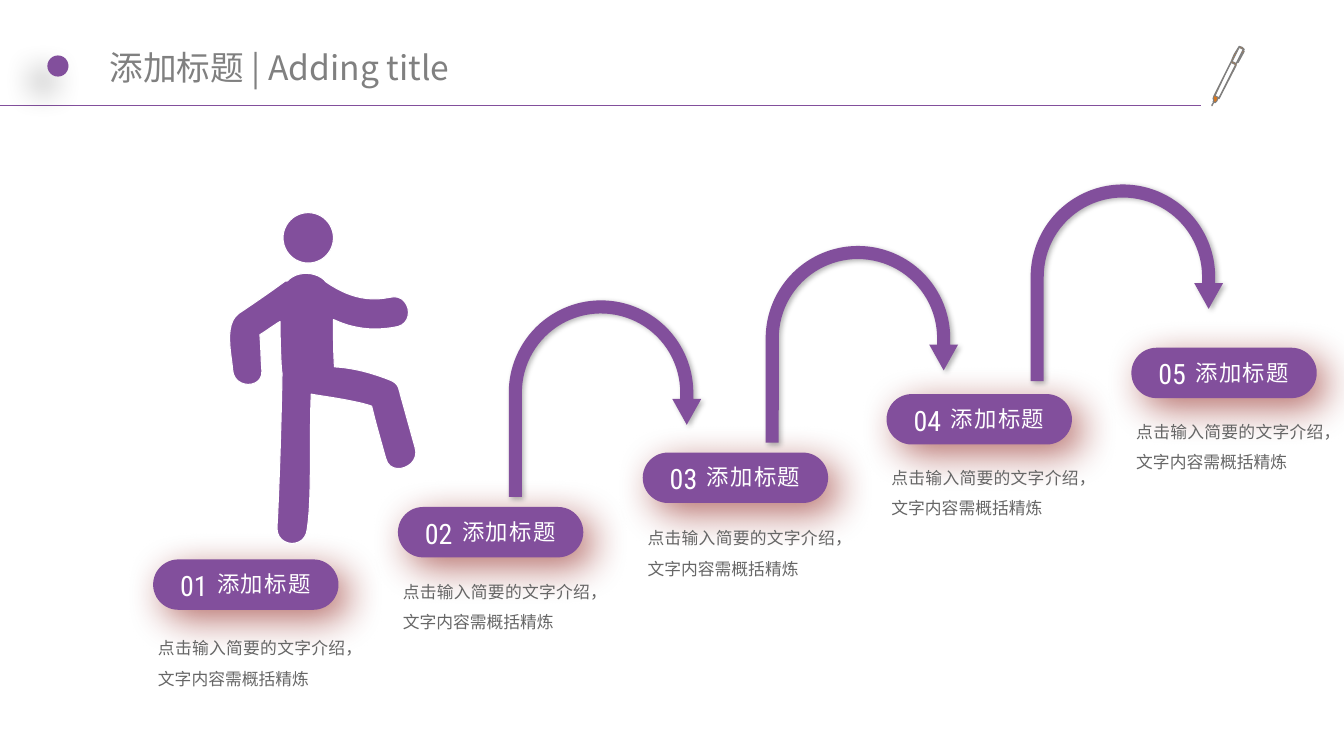
from pptx import Presentation
from pptx.dml.color import RGBColor
from pptx.enum.shapes import MSO_CONNECTOR, MSO_SHAPE
from pptx.enum.text import MSO_ANCHOR, MSO_AUTO_SIZE, PP_ALIGN
from pptx.oxml.ns import qn
from pptx.util import Emu, Pt
from lxml import etree

PX = 9144  # 100 px to the inch
ROUNDED = MSO_SHAPE.ROUNDED_RECTANGLE
OVAL = MSO_SHAPE.OVAL
UTURN_ARROW = MSO_SHAPE.U_TURN_ARROW
STRAIGHT = MSO_CONNECTOR.STRAIGHT
LEFT, CENTER, JUSTIFY = PP_ALIGN.LEFT, PP_ALIGN.CENTER, PP_ALIGN.JUSTIFY
MIDDLE, TOP = MSO_ANCHOR.MIDDLE, MSO_ANCHOR.TOP
NO_FIT, GROW = MSO_AUTO_SIZE.NONE, MSO_AUTO_SIZE.SHAPE_TO_FIT_TEXT

PURPLE = RGBColor(0x82, 0x4F, 0x9C)
WHITE = RGBColor(0xFF, 0xFF, 0xFF)
GRAY = RGBColor(0x80, 0x80, 0x80)
DARK_GRAY = RGBColor(0x66, 0x66, 0x66)
ORANGE = RGBColor(0xDA, 0x75, 0x1A)
BLACK = RGBColor(0, 0, 0)
DARK_RED = RGBColor(0x88, 0x12, 0x0B)
SANS, CONDENSED = "Noto Sans CJK SC", "Roboto Condensed"


def write_text(shape, text, size, color, font=SANS, align=CENTER, anchor=TOP,
               fit=GROW, line_spacing=None, tracking=None):
    frame = shape.text_frame
    frame.word_wrap = True
    frame.auto_size = fit
    frame.vertical_anchor = anchor
    paragraph = frame.paragraphs[0]
    paragraph.alignment = align
    if line_spacing:
        paragraph.line_spacing = line_spacing
    run = paragraph.add_run()
    run.text = text
    run.font.size = Pt(size)
    run.font.color.rgb = color
    run.font.name = font
    properties = run.font._element
    etree.SubElement(properties, qn("a:ea"), typeface=font)
    if tracking:
        properties.set("spc", str(tracking * 100))


def style_shape(shape, fill, line=None, shadow=None):
    """Shadow is (color, opacity %, blur pt, distance pt, angle in degrees)."""
    shape.fill.solid()
    shape.fill.fore_color.rgb = fill
    if line is None:
        shape.line.fill.background()
    else:
        shape.line.color.rgb = line
        shape.line.width = Pt(0.75)
    shape.shadow.inherit = False
    if shadow:
        color, opacity, blur, distance, angle = shadow
        effects = shape._element.spPr.find(qn("a:effectLst"))
        outer = etree.SubElement(
            effects, qn("a:outerShdw"), blurRad=str(Pt(blur)), dist=str(Pt(distance)),
            dir=str(angle * 60000), algn="ctr", rotWithShape="0")
        tint = etree.SubElement(outer, qn("a:srgbClr"), val=str(color))
        etree.SubElement(tint, qn("a:alpha"), val=str(opacity * 1000))


presentation = Presentation()
presentation.slide_width = Emu(1334 * PX)
presentation.slide_height = Emu(750 * PX)
slide = presentation.slides.add_slide(presentation.slide_layouts[5])
shapes = slide.shapes

# Header
title = shapes.title
title.left, title.top, title.width, title.height = [Emu(v * PX) for v in (102, 19, 1092, 94)]
title.text_frame.margin_left = title.text_frame.margin_right = Emu(7 * PX)
title.text_frame.margin_top = title.text_frame.margin_bottom = Emu(4 * PX)
write_text(title, "添加标题 | Adding title", 24, GRAY, align=LEFT, anchor=MIDDLE, fit=NO_FIT)

rule = shapes.add_connector(STRAIGHT, 0, 105 * PX, 1192 * PX, 105 * PX)
rule.line.color.rgb = PURPLE
rule.line.width = Pt(0.75)
etree.SubElement(rule._element.spPr, qn("a:effectLst"))

dot = shapes.add_shape(OVAL, 47 * PX, 55 * PX, 21 * PX, 21 * PX)
style_shape(dot, PURPLE, shadow=(BLACK, 40, 22, 15, 135))

PEN_OUTLINE = [
    (1235, 49), (1233, 47), (1230, 46), (1225, 54), (1222, 61), (1205, 95), (1204, 98),
    (1205, 99), (1204, 101), (1205, 101), (1203, 104), (1203, 105), (1205, 101),
    (1206, 102), (1208, 100), (1209, 97), (1210, 98), (1227, 65), (1227, 64),
    (1232, 54), (1234, 52), (1229, 62), (1235, 51), (1234, 50)]
PEN_BARREL = [(1226, 65), (1210, 97), (1206, 95), (1216, 74), (1222, 62), (1226, 64)]
PEN_CAP = [(1227, 63), (1223, 61), (1230, 47), (1234, 49)]
pen = shapes.build_freeform(*PEN_OUTLINE[0], scale=PX)
pen.add_line_segments(PEN_OUTLINE[1:])
for hole in (PEN_BARREL, PEN_CAP):
    pen.move_to(*hole[0])
    pen.add_line_segments(hole[1:])
style_shape(pen.convert_to_shape(), ORANGE, line=GRAY)

# Steps: pill top, description top
STEPS = [(555, 618), (503, 562), (449, 509), (391, 449), (345, 403)]
for index, (pill_top, description_top) in enumerate(STEPS):
    left = 152 + round(242.75 * index)
    pill = shapes.add_shape(ROUNDED, left * PX, pill_top * PX, 184 * PX, 50 * PX)
    pill.adjustments[0] = 0.5
    style_shape(pill, PURPLE, shadow=(DARK_RED, 60, 28, 10, 45))
    label = shapes.add_textbox((left + 49) * PX, (pill_top + 6) * PX, 122 * PX, 37 * PX)
    write_text(label, "添加标题", 16, WHITE, tracking=1)
    number = shapes.add_textbox((left + 15) * PX, (pill_top + 4) * PX, 51 * PX, 44 * PX)
    write_text(number, f"{index + 1:02d}", 20, WHITE, font=CONDENSED)
    description = shapes.add_textbox((left - 5) * PX, description_top * PX, 206 * PX, 71 * PX)
    write_text(description, "点击输入简要的文字介绍，文字内容需概括精炼", 12, DARK_GRAY,
               align=JUSTIFY, line_spacing=1.5)

# Walking figure: each curve is two control points and an end point
head = shapes.add_shape(OVAL, 281 * PX, 211 * PX, 50 * PX, 50 * PX)
style_shape(head, PURPLE, line=WHITE)

BODY_START = (305, 525)
BODY_CURVES = [
    (310, 493, 307, 427, 309, 391), (312, 392, 353, 397, 369, 403),
    (373, 420, 378, 437, 383, 455), (388, 474, 418, 463, 412, 444),
    (407, 426, 402, 408, 397, 390), (397, 389, 396, 387, 396, 386),
    (395, 382, 392, 379, 387, 377), (369, 370, 351, 365, 332, 364),
    (331, 348, 331, 333, 331, 317), (350, 326, 371, 329, 395, 324),
    (413, 319, 406, 290, 387, 295), (363, 300, 343, 293, 324, 280),
    (315, 269, 295, 268, 285, 279), (284, 279, 284, 279, 283, 279),
    (268, 290, 252, 301, 237, 311), (222, 322, 230, 352, 231, 367),
    (232, 386, 261, 386, 260, 368), (259, 356, 259, 344, 258, 332),
    (265, 328, 271, 323, 278, 319), (278, 334, 279, 368, 280, 370),
    (280, 381, 278, 470, 275, 524), (275, 543, 303, 545, 305, 525)]
CURVE_PARTS = 12
body = shapes.build_freeform(*[v * PX for v in BODY_START], scale=1.0)
start_x, start_y = BODY_START
for x1, y1, x2, y2, end_x, end_y in BODY_CURVES:
    points = []
    for part in range(1, CURVE_PARTS + 1):
        t = part / CURVE_PARTS
        u = 1 - t
        weights = (u ** 3, 3 * u * u * t, 3 * u * t * t, t ** 3)
        x = sum(w * v for w, v in zip(weights, (start_x, x1, x2, end_x)))
        y = sum(w * v for w, v in zip(weights, (start_y, y1, y2, end_y)))
        points.append((round(x * PX), round(y * PX)))
    body.add_line_segments(points, close=False)
    start_x, start_y = end_x, end_y
body.add_line_segments([], close=True)
style_shape(body.convert_to_shape(), PURPLE, line=WHITE)

# Arrows from step to step
for left, top in [(505, 298), (760, 244), (1023, 183)]:
    arrow = shapes.add_shape(UTURN_ARROW, left * PX, top * PX, 191 * PX, 195 * PX)
    for position, value in enumerate((0.068, 0.075, 0.134, 0.485, 0.633)):
        arrow.adjustments[position] = value
    style_shape(arrow, PURPLE, shadow=(BLACK, 30, 4, 2, 45))

presentation.save("out.pptx")
